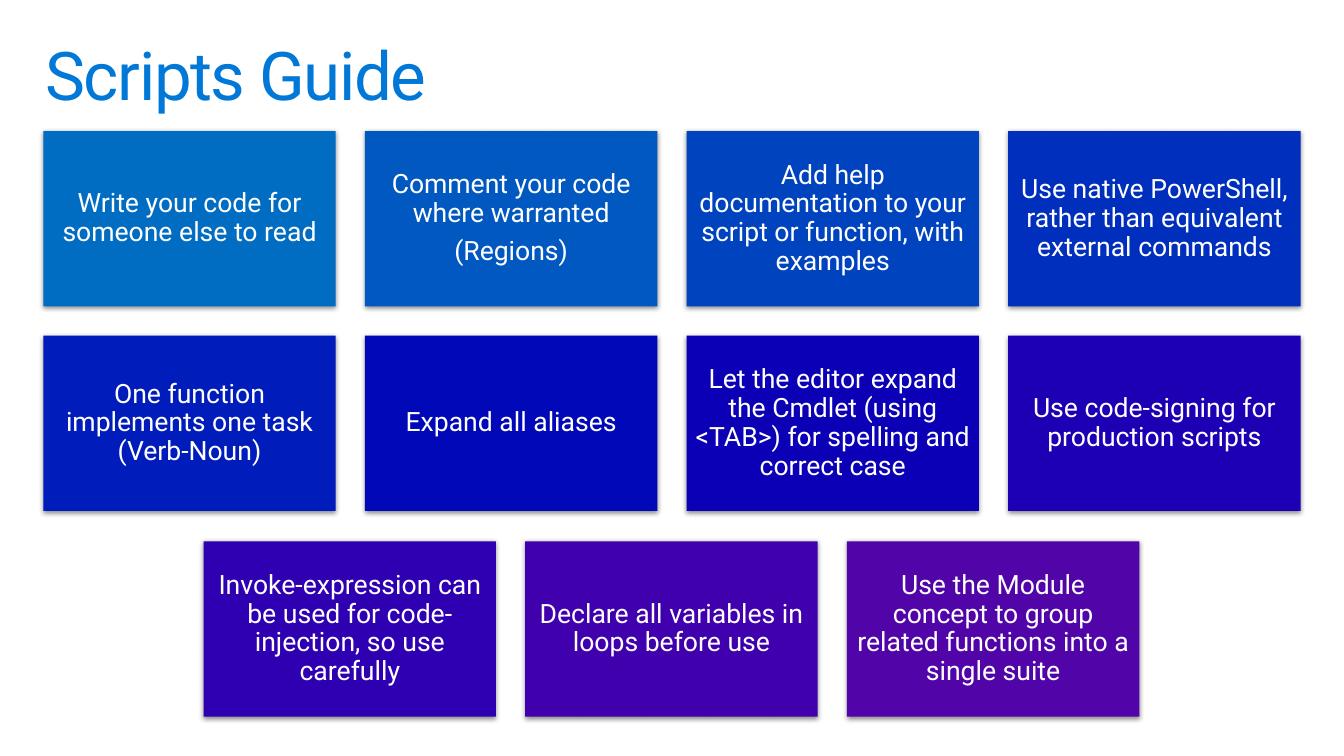
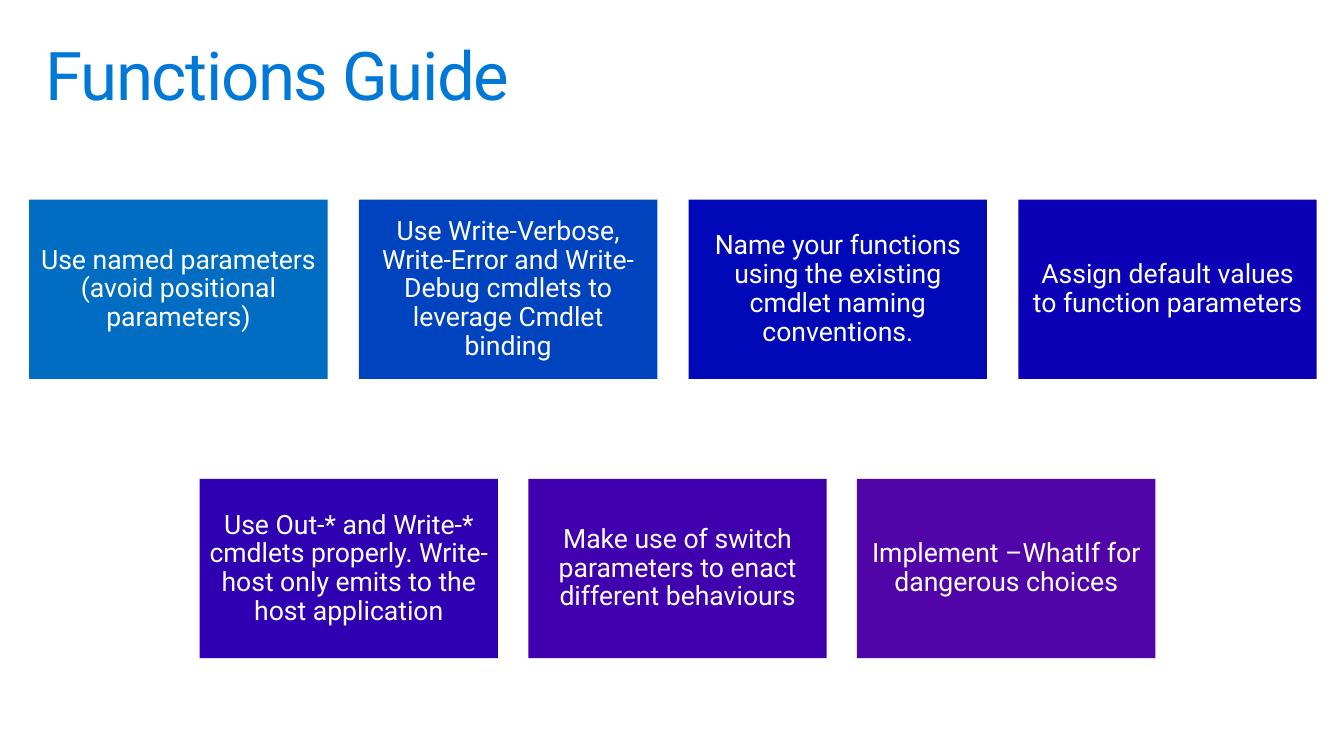
"""Build two slides of scripting guidelines as centred rows of coloured cards."""
from lxml import etree
from pptx import Presentation
from pptx.dml.color import RGBColor
from pptx.enum.shapes import MSO_SHAPE
from pptx.enum.text import MSO_ANCHOR, MSO_AUTO_SIZE, PP_ALIGN
from pptx.oxml.ns import qn
from pptx.util import Inches, Pt

FONT = "Roboto"
TITLE_COLOUR = "0078D7"
CARD_TEXT_COLOUR = "FFFFFF"

GUIDES = [
    {
        "title": "Scripts Guide",
        "card_size": (2.9, 1.74),
        "shadow": True,
        "rows": [
            (0.43, 1.3, 0.29, [
                ("006DC3", "Write your code for someone else to read"),
                ("0058C0", "Comment your code where warranted\n(Regions)"),
                ("0043BF", "Add help documentation to your script or function, with examples"),
                ("002FBD", "Use native PowerShell, rather than equivalent external commands"),
            ]),
            (0.43, 3.33, 0.29, [
                ("001CBA", "One function implements one task (Verb-Noun)"),
                ("0008B8", "Expand all aliases"),
                ("0B00B6", "Let the editor expand the Cmdlet (using <TAB>) for spelling and correct case"),
                ("1D00B4", "Use code-signing for production scripts"),
            ]),
            (2.02, 5.37, 0.29, [
                ("2F00B1", "Invoke-expression can be used for code-injection, so use carefully"),
                ("4100AE", "Declare all variables in loops before use"),
                ("5105A8", "Use the Module concept to group related functions into a single suite"),
            ]),
        ],
    },
    {
        "title": "Functions Guide",
        "card_size": (2.96, 1.78),
        "shadow": False,
        "rows": [
            (0.29, 1.98, 0.31, [
                ("006DC3", "Use named parameters (avoid positional parameters)"),
                ("0043BF", "Use Write-Verbose, Write-Error and Write-Debug cmdlets to leverage Cmdlet binding"),
                ("0008B8", "Name your functions using the existing cmdlet naming conventions."),
                ("0B00B6", "Assign default values to function parameters"),
            ]),
            (1.98, 4.75, 0.3, [
                ("2F00B1", "Use Out-* and Write-* cmdlets properly. Write-host only emits to the host application"),
                ("4100AE", "Make use of switch parameters to enact different behaviours"),
                ("5105A8", "Implement –WhatIf for dangerous choices"),
            ]),
        ],
    },
]


def colour(hex_text):
    return RGBColor.from_string(hex_text)


def format_text(shape, size, hex_text, align, anchor, inset_x, inset_y):
    frame = shape.text_frame
    frame.word_wrap = True
    frame.auto_size = MSO_AUTO_SIZE.NONE
    frame.vertical_anchor = anchor
    frame.margin_left = frame.margin_right = Inches(inset_x)
    frame.margin_top = frame.margin_bottom = Inches(inset_y)
    for para in frame.paragraphs:
        para.alignment = align
        para.line_spacing = 0.9
        for span in para.runs:
            span.font.name = FONT
            span.font.size = Pt(size)
            span.font.color.rgb = colour(hex_text)


deck = Presentation()
deck.slide_width = Inches(13.33)
deck.slide_height = Inches(7.5)

for guide in GUIDES:
    page = deck.slides.add_slide(deck.slide_layouts[5])
    title = page.shapes.title
    title.left, title.top = Inches(0.29), Inches(0.32)
    title.width, title.height = Inches(12.75), Inches(0.98)
    title.text_frame.text = guide["title"]
    format_text(title, 48, TITLE_COLOUR, PP_ALIGN.LEFT, MSO_ANCHOR.TOP, 0.16, 0.1)
    title.text_frame.paragraphs[0].runs[0].font._element.set("spc", "-100")

    width, height = guide["card_size"]
    for left, top, gap, cards in guide["rows"]:
        for column, (fill, text) in enumerate(cards):
            card = page.shapes.add_shape(
                MSO_SHAPE.RECTANGLE,
                Inches(left + column * (width + gap)), Inches(top),
                Inches(width), Inches(height),
            )
            card.fill.solid()
            card.fill.fore_color.rgb = colour(fill)
            card.line.fill.background()
            card.shadow.inherit = False
            if guide["shadow"]:
                effects = card._element.spPr.find(qn("a:effectLst"))
                outer = etree.SubElement(
                    effects, qn("a:outerShdw"), blurRad=str(Pt(3.5)),
                    dist=str(Pt(1.1)), dir="5400000", algn="ctr", rotWithShape="0",
                )
                tint = etree.SubElement(outer, qn("a:srgbClr"), val="000000")
                etree.SubElement(tint, qn("a:alpha"), val="45000")
            card.text_frame.text = text
            format_text(card, 19, CARD_TEXT_COLOUR, PP_ALIGN.CENTER, MSO_ANCHOR.MIDDLE, 0.08, 0.08)
            for para in card.text_frame.paragraphs:
                para.space_after = Pt(7)

deck.save("out.pptx")
